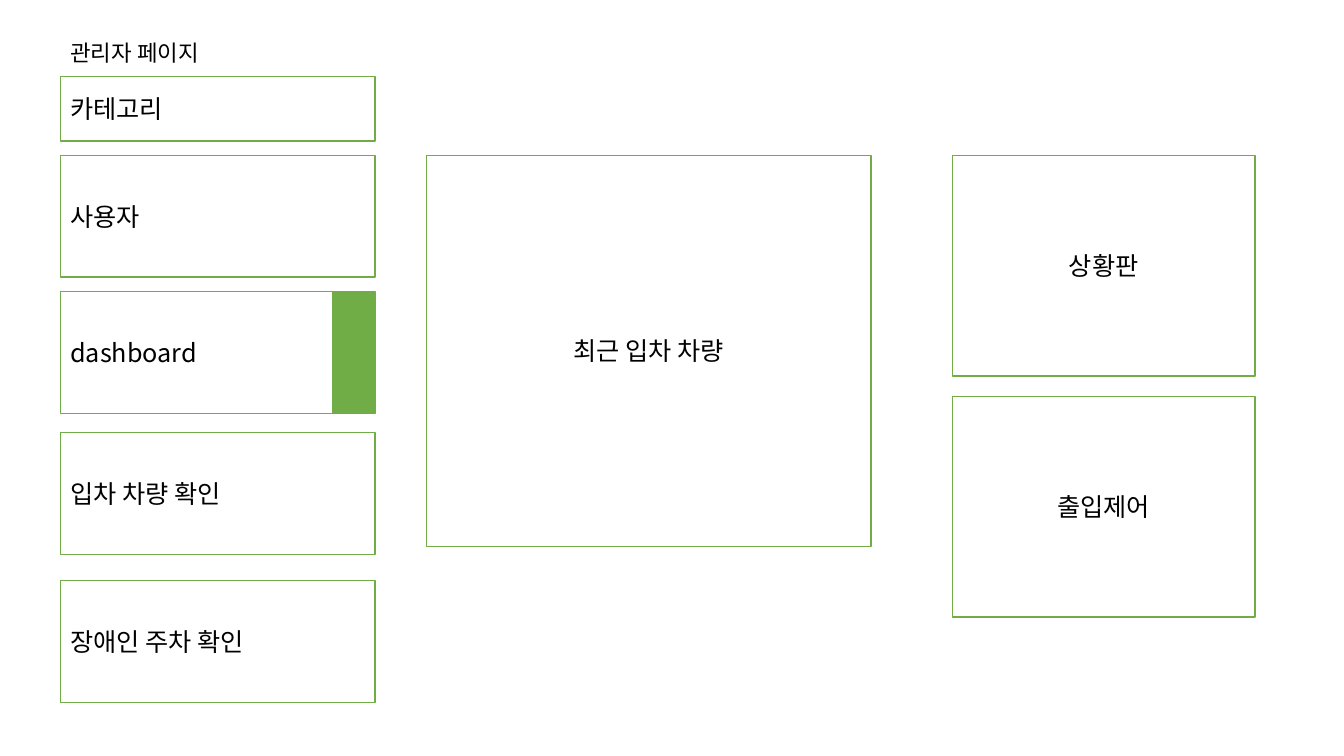
"""Build the wireframe of a parking administrator page."""
from dataclasses import dataclass

from lxml import etree
from pptx import Presentation
from pptx.dml.color import RGBColor
from pptx.enum.shapes import MSO_SHAPE
from pptx.enum.text import MSO_ANCHOR, MSO_AUTO_SIZE, PP_ALIGN
from pptx.oxml.ns import qn
from pptx.util import Pt

RECTANGLE = MSO_SHAPE.RECTANGLE
MIDDLE = MSO_ANCHOR.MIDDLE
FIT_SHAPE = MSO_AUTO_SIZE.SHAPE_TO_FIT_TEXT
LEFT, CENTER = PP_ALIGN.LEFT, PP_ALIGN.CENTER


@dataclass(frozen=True)
class Theme:
    font: str = "Noto Sans CJK KR"
    ink: RGBColor = RGBColor(0, 0, 0)
    paper: RGBColor = RGBColor(255, 255, 255)
    accent: RGBColor = RGBColor(0x70, 0xAD, 0x47)
    heading_size: int = 16
    label_size: int = 18


theme = Theme()


def write(frame, wording, size, alignment):
    frame.text = wording
    paragraph = frame.paragraphs[0]
    paragraph.alignment = alignment
    for run in paragraph.runs:
        run.font.name = theme.font
        run.font.size = Pt(size)
        run.font.color.rgb = theme.ink
        east_asian = etree.SubElement(run.font._element, qn("a:ea"))
        east_asian.set("typeface", theme.font)


def add_panel(left, top, width, height, fill, line_width):
    panel = slide.shapes.add_shape(RECTANGLE, Pt(left), Pt(top), Pt(width), Pt(height))
    panel.shadow.inherit = False
    panel.fill.solid()
    panel.fill.fore_color.rgb = fill
    panel.line.color.rgb = theme.accent
    panel.line.width = Pt(line_width)
    return panel


presentation = Presentation()
presentation.slide_width = Pt(960)
presentation.slide_height = Pt(540)
slide = presentation.slides.add_slide(presentation.slide_layouts[6])

menu_left, menu_width = 43.2, 224.6
item_height = 87.1
content_top = 110.9
dashboard_top = 208.1
status_left, status_width, status_height = 680.4, 216, 157.7
status_gap = 14.4
marker_width = 30.5

heading = slide.shapes.add_textbox(Pt(menu_left), Pt(20.9), Pt(157), Pt(33.8)).text_frame
heading.word_wrap = True
heading.auto_size = FIT_SHAPE
heading.margin_top = heading.margin_bottom = Pt(7.2)
write(heading, "관리자 페이지", theme.heading_size, LEFT)

menu = [
    ("카테고리", 54.7, 46.1),
    ("사용자", content_top, item_height),
    ("dashboard", dashboard_top, item_height),
    ("입차 차량 확인", 308.9, item_height),
    ("장애인 주차 확인", 414.7, item_height),
]
sections = [(label, menu_left, top, menu_width, height, LEFT) for label, top, height in menu]
sections.append(("최근 입차 차량", 304.6, content_top, 317.5, 279.4, CENTER))
for row, label in enumerate(["상황판", "출입제어"]):
    top = content_top + row * (status_height + status_gap)
    sections.append((label, status_left, top, status_width, status_height, CENTER))

for label, left, top, width, height, alignment in sections:
    section = add_panel(left, top, width, height, theme.paper, 1)
    section.text_frame.word_wrap = True
    section.text_frame.vertical_anchor = MIDDLE
    write(section.text_frame, label, theme.label_size, alignment)

marker_left = menu_left + menu_width - marker_width
add_panel(marker_left, dashboard_top, marker_width, item_height, theme.accent, 0.75)

presentation.save("out.pptx")
